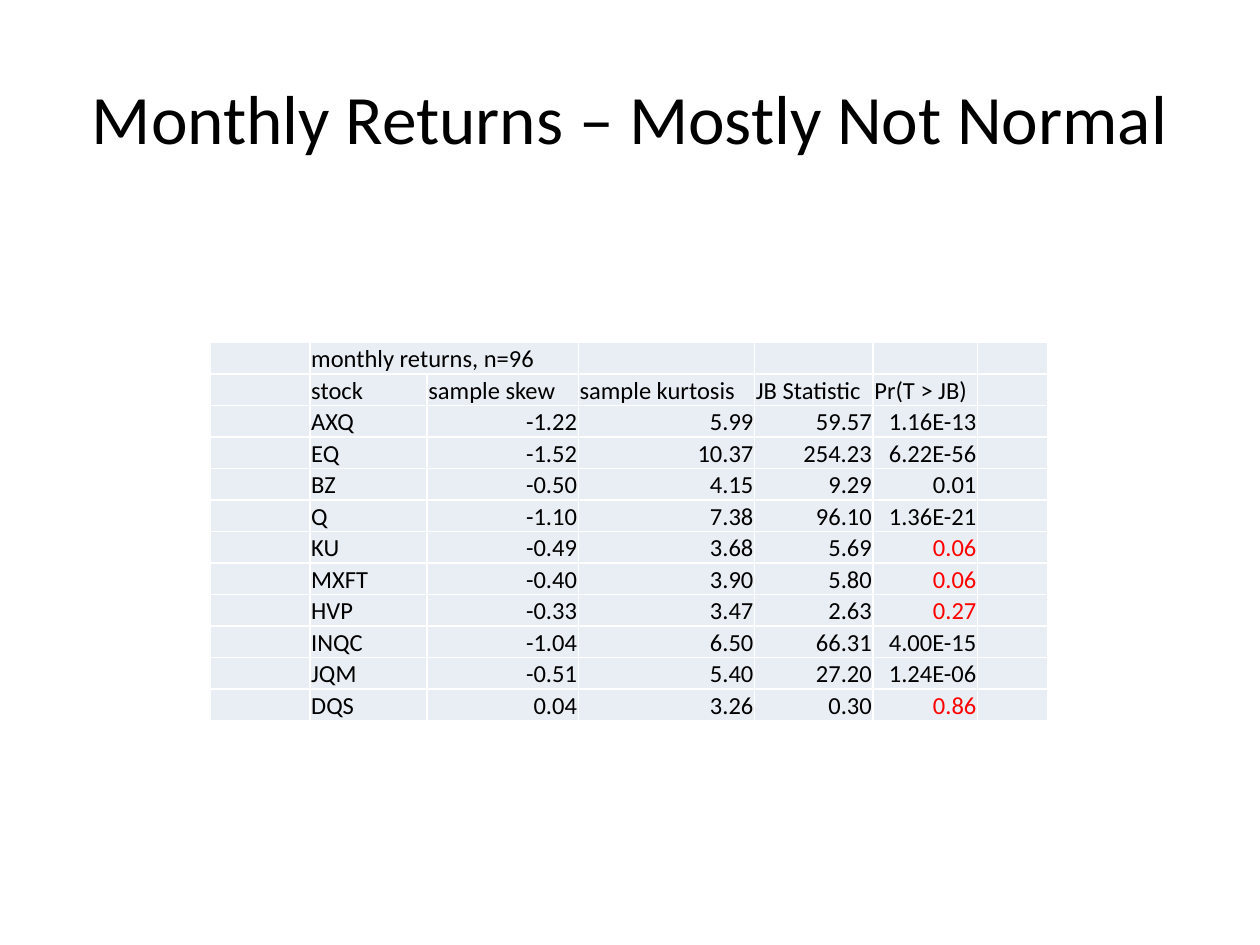
from lxml import etree
from pptx import Presentation
from pptx.dml.color import RGBColor
from pptx.enum.text import MSO_ANCHOR as Anchor, PP_ALIGN as Align
from pptx.oxml.ns import qn
from pptx.util import Emu, Pt

PX = 9144
BLACK = RGBColor(0x00, 0x00, 0x00)
RED = RGBColor(0xFF, 0x00, 0x00)
WHITE = RGBColor(0xFF, 0xFF, 0xFF)
PALE_BLUE = RGBColor(0xE9, 0xED, 0xF4)
TITLE_FONT = {"name": "Calibri", "size": Pt(39.6)}
CELL_FONT = {"name": "Calibri", "size": Pt(14)}
CELL_FORMAT = {"margin_left": PX, "margin_top": PX, "margin_right": PX,
               "margin_bottom": 0, "vertical_anchor": Anchor.BOTTOM}
PLAIN_TABLE = {"first_row": False, "horz_banding": False}
SIGNIFICANCE = 0.05

COLUMN_WIDTHS = [79, 93, 120, 140, 94, 83, 56]
ROW_HEIGHT = 25
CAPTION = "monthly returns, n=96"
HEADINGS = ("stock", "sample skew", "sample kurtosis", "JB Statistic", "Pr(T > JB)")
STOCKS = [
    ("AXQ", "-1.22", "5.99", "59.57", "1.16E-13"),
    ("EQ", "-1.52", "10.37", "254.23", "6.22E-56"),
    ("BZ", "-0.50", "4.15", "9.29", "0.01"),
    ("Q", "-1.10", "7.38", "96.10", "1.36E-21"),
    ("KU", "-0.49", "3.68", "5.69", "0.06"),
    ("MXFT", "-0.40", "3.90", "5.80", "0.06"),
    ("HVP", "-0.33", "3.47", "2.63", "0.27"),
    ("INQC", "-1.04", "6.50", "66.31", "4.00E-15"),
    ("JQM", "-0.51", "5.40", "27.20", "1.24E-06"),
    ("DQS", "0.04", "3.26", "0.30", "0.86"),
]


def apply_format(target, values):
    """Set every attribute named in values on target."""
    for name, value in values.items():
        setattr(target, name, value)


def write_text(paragraph, text, font, color=BLACK, align=Align.LEFT):
    """Write one formatted run into a paragraph."""
    paragraph.alignment = align
    run = paragraph.add_run()
    run.text = text
    apply_format(run.font, font)
    run.font.color.rgb = color


def add_title(slide, left, top, width, height):
    """Place the centred slide title in the given box."""
    box = slide.shapes.add_textbox(*(Emu(n * PX) for n in (left, top, width, height)))
    frame = box.text_frame
    apply_format(frame, {"word_wrap": True, "vertical_anchor": Anchor.MIDDLE})
    write_text(frame.paragraphs[0], "Monthly Returns – Mostly Not Normal",
               TITLE_FONT, align=Align.CENTER)


def style_cell(cell):
    """Give a cell its margins, fill, white borders and empty-line size."""
    apply_format(cell, CELL_FORMAT)
    cell.fill.solid()
    cell.fill.fore_color.rgb = PALE_BLUE
    properties = cell._tc.get_or_add_tcPr()
    for position, side in enumerate(("lnL", "lnR", "lnT", "lnB")):
        line = etree.Element(qn(f"a:{side}"), w=str(Pt(1)))
        fill = etree.SubElement(line, qn("a:solidFill"))
        etree.SubElement(fill, qn("a:srgbClr"), val=str(WHITE))
        properties.insert(position, line)
    ending = cell.text_frame.paragraphs[0]._p.get_or_add_endParaRPr()
    ending.set("sz", "1400")


def add_returns_table(slide, left, top):
    """Place the table of return statistics with its corner at left, top."""
    rows = [(CAPTION,), HEADINGS, *STOCKS]
    box = (left, top, sum(COLUMN_WIDTHS), len(rows) * ROW_HEIGHT)
    table = slide.shapes.add_table(len(rows), len(COLUMN_WIDTHS),
                                   *(Emu(n * PX) for n in box)).table
    apply_format(table, PLAIN_TABLE)
    for column, width in zip(table.columns, COLUMN_WIDTHS):
        column.width = Emu(width * PX)
    for row in table.rows:
        row.height = Emu(ROW_HEIGHT * PX)
    for cell in table.iter_cells():
        style_cell(cell)
    table.cell(0, 1).merge(table.cell(0, 2))
    for row_index, values in enumerate(rows):
        for column_index, text in enumerate(values, start=1):
            numeric = row_index > 1 and column_index > 1
            is_p_value = numeric and column_index == len(HEADINGS)
            color = RED if is_p_value and float(text) > SIGNIFICANCE else BLACK
            paragraph = table.cell(row_index, column_index).text_frame.paragraphs[0]
            write_text(paragraph, text, CELL_FONT, color,
                       Align.RIGHT if numeric else Align.LEFT)


def main():
    """Build and save the one-slide presentation."""
    presentation = Presentation()
    apply_format(presentation, {"slide_width": Emu(1000 * PX),
                                "slide_height": Emu(750 * PX)})
    slide = presentation.slides.add_slide(presentation.slide_layouts[6])
    add_title(slide, 50, 30, 900, 125)
    add_returns_table(slide, 167, 272)
    presentation.save("out.pptx")


if __name__ == "__main__":
    main()
